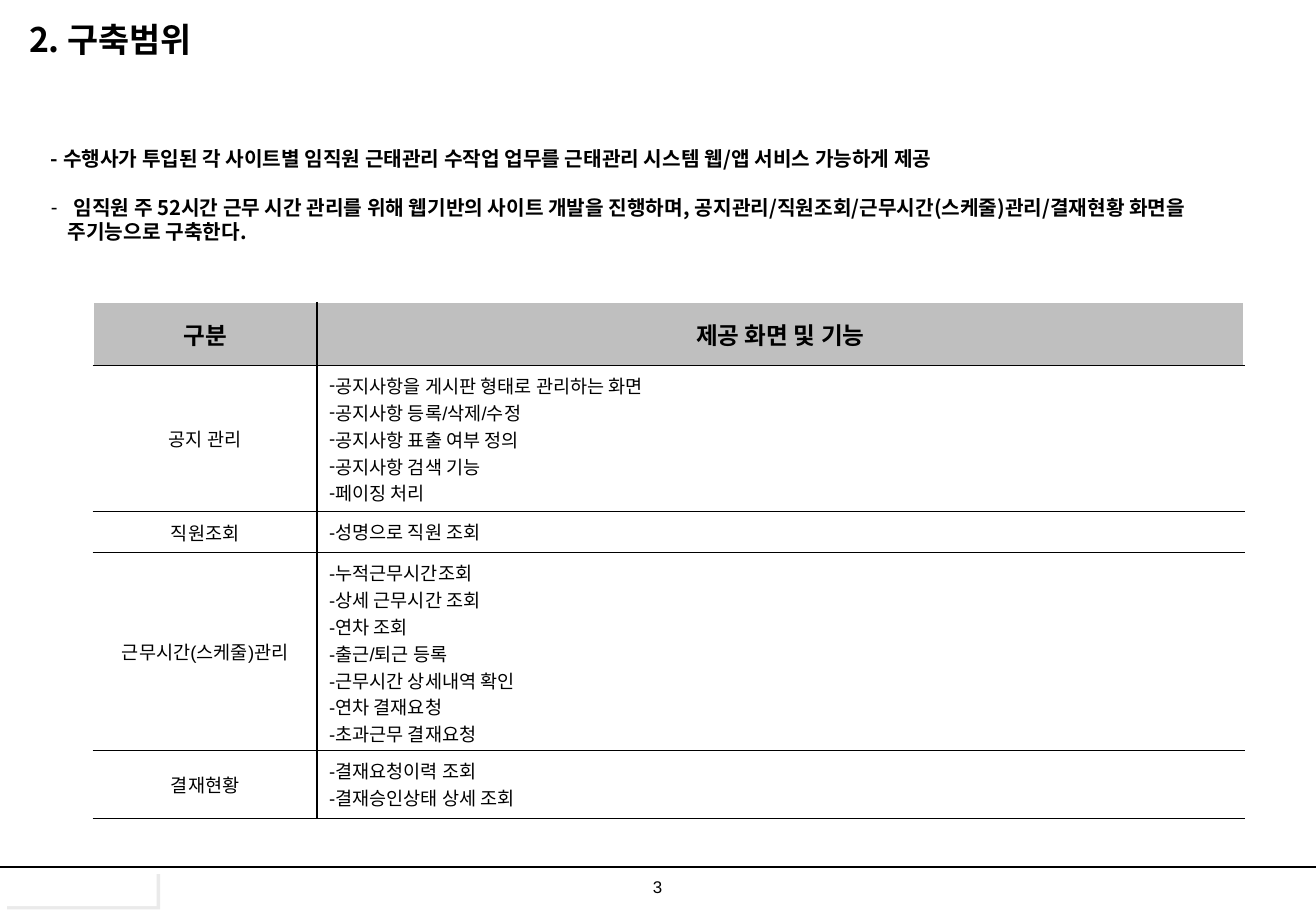
"""Build the slide on the scope of the attendance management system."""
from lxml import etree
from pptx import Presentation, util as u
from pptx.dml import color
from pptx.enum import shapes, text
from pptx.oxml import ns

COLORS = {"ink": "000000", "paper": "FFFFFF", "header": "BFBFBF", "shadow": "EAEAEA"}
KOREAN, LATIN = "Noto Sans CJK KR", "Arial"
LEFT, CENTER = text.PP_ALIGN.LEFT, text.PP_ALIGN.CENTER
TOP, MIDDLE = text.MSO_ANCHOR.TOP, text.MSO_ANCHOR.MIDDLE

TITLE = "2. 구축범위"
SUMMARY = [
    ("- 수행사가 투입된 각 사이트별 임직원 근태관리 수작업 업무를 근태관리 시스템 웹/앱 서비스 가능하게 제공",
     {}),
    ("임직원 주 52시간 근무 시간 관리를 위해 웹기반의 사이트 개발을 진행하며, 공지관리/직원조회/근무시간(스케줄)관리/결재현황 화면을",
     {"bullet": "-", "margin": 13.5, "indent": -13.5, "space_before": 14.3}),
    ("주기능으로 구축한다.", {"margin": 10}),
]
HEADER = ["구분", "제공 화면 및 기능"]
FEATURES = [
    ("공지 관리", "-", ["공지사항을 게시판 형태로 관리하는 화면", "공지사항 등록/삭제/수정",
                     "공지사항 표출 여부 정의", "공지사항 검색 기능", "페이징 처리"]),
    ("직원조회", None, ["-성명으로 직원 조회"]),
    ("근무시간(스케줄)관리", None, ["-누적근무시간조회", "-상세 근무시간 조회", "-연차 조회", "-출근/퇴근 등록",
                            "-근무시간 상세내역 확인", "-연차 결재요청", "-초과근무 결재요청"]),
    ("결재현황", None, ["-결재요청이력 조회", "-결재승인상태 상세 조회"]),
]
COLUMN_WIDTHS = [132.5, 549.4]
ROW_HEIGHTS = [37.4, 86.4, 24.5, 117.4, 40.3]


def rgb(name):
    """Return a named colour."""
    return color.RGBColor.from_string(COLORS[name])


def apply(target, values):
    """Set each attribute of the target from a dict."""
    for name, value in values.items():
        setattr(target, name, value)


def add_element(parent, tag, **attributes):
    """Append a drawing element with attributes."""
    return etree.SubElement(parent, ns.qn(tag), attributes)


def place(shape, left, top, width, height):
    """Move and size a shape in points."""
    apply(shape, {"left": u.Pt(left), "top": u.Pt(top),
                  "width": u.Pt(width), "height": u.Pt(height)})


def write(paragraph, content, size, bold=False, font=LATIN, align=LEFT, bullet=None,
          margin=0, indent=0, space_before=0, line_spacing=1.0):
    """Fill a paragraph with one formatted run."""
    apply(paragraph, {"alignment": align, "space_before": u.Pt(space_before),
                      "space_after": u.Pt(0), "line_spacing": line_spacing})
    properties = paragraph._p.get_or_add_pPr()
    properties.set("marL", str(u.Pt(margin)))
    properties.set("indent", str(u.Pt(indent)))
    if bullet:
        add_element(properties, "a:buFont", typeface=LATIN)
        add_element(properties, "a:buChar", char=bullet)
    else:
        add_element(properties, "a:buNone")
    run = paragraph.add_run()
    run.text = content
    apply(run.font, {"size": u.Pt(size), "bold": bold, "name": font})
    run.font.color.rgb = rgb("ink")
    add_element(run._r.get_or_add_rPr(), "a:ea", typeface=KOREAN)


def write_lines(frame, lines, **style):
    """Write one paragraph for each line and its own format values."""
    for index, (content, values) in enumerate(lines):
        paragraph = frame.add_paragraph() if index else frame.paragraphs[0]
        write(paragraph, content, **{**style, **values})


def fill_placeholder(shape, box, anchor, lines, **style):
    """Move a placeholder and fill it with text."""
    place(shape, *box)
    apply(shape.text_frame, {"word_wrap": True, "auto_size": text.MSO_AUTO_SIZE.NONE,
                             "vertical_anchor": anchor})
    write_lines(shape.text_frame, lines, bold=True, font=KOREAN, **style)


def add_footer(slide):
    """Draw the footer rule, the raised plate and the page number."""
    rule = slide.shapes.add_connector(shapes.MSO_CONNECTOR.STRAIGHT,
                                      u.Pt(0), u.Pt(514), u.Pt(780), u.Pt(514))
    rule.line.width = u.Pt(0.75)
    rule.line.color.rgb = rgb("ink")
    add_element(rule._element.spPr, "a:effectLst")

    plate = slide.shapes.add_shape(shapes.MSO_SHAPE.RECTANGLE,
                                   u.Pt(2.2), u.Pt(516.2), u.Pt(90.7), u.Pt(20.9))
    plate.fill.solid()
    plate.fill.fore_color.rgb = rgb("paper")
    plate.line.fill.background()
    plate.shadow.inherit = False
    effects = plate._element.spPr.find(ns.qn("a:effectLst"))
    shadow = add_element(effects, "a:outerShdw", blurRad="0", dist=str(u.Pt(2.8)),
                         dir="2700000", algn="ctr", rotWithShape="0")
    add_element(shadow, "a:srgbClr", val=COLORS["shadow"])

    number = slide.shapes.add_textbox(u.Pt(376.5), u.Pt(516.2), u.Pt(26.6), u.Pt(19.4))
    number.text_frame.word_wrap = True
    write(number.text_frame.paragraphs[0], "3", 10, align=CENTER)


def set_borders(cell, **sides):
    """Give a cell its four borders by colour name."""
    properties = cell._tc.get_or_add_tcPr()
    for index, side in enumerate("LRTB"):
        line = etree.Element(ns.qn(f"a:ln{side}"), w=str(u.Pt(1)))
        fill = add_element(line, "a:solidFill")
        add_element(fill, "a:srgbClr", val=COLORS[sides.get(side, "ink")])
        properties.insert(index, line)


def fill_cell(table, row, column, lines, **style):
    """Fill one table cell with text, colour and borders."""
    cell = table.cell(row, column)
    listing = row > 0 and column == 1
    apply(cell, {"vertical_anchor": TOP if listing else MIDDLE,
                 "margin_left": u.Pt(7.2), "margin_right": u.Pt(7.2),
                 "margin_top": u.Pt(3.6), "margin_bottom": u.Pt(0 if listing else 3.6)})
    cell.fill.solid()
    cell.fill.fore_color.rgb = rgb("paper" if row else "header")
    write_lines(cell.text_frame, [(line, {}) for line in lines],
                align=LEFT if listing else CENTER, **style)
    outer = {"R" if column else "L": "paper"}
    if row == 0:
        outer["T"] = "paper"
    set_borders(cell, **outer)


def add_feature_table(slide):
    """Add the table of screens and their functions."""
    table = slide.shapes.add_table(len(ROW_HEIGHTS), len(COLUMN_WIDTHS), u.Pt(55.4), u.Pt(179.3),
                                   u.Pt(sum(COLUMN_WIDTHS)), u.Pt(sum(ROW_HEIGHTS))).table
    apply(table, {"first_row": False, "horz_banding": False})
    for column, width in zip(table.columns, COLUMN_WIDTHS):
        column.width = u.Pt(width)
    for row, height in zip(table.rows, ROW_HEIGHTS):
        row.height = u.Pt(height)
    for column, heading in enumerate(HEADER):
        fill_cell(table, 0, column, [heading], size=14, bold=True)
    for row, (area, bullet, functions) in enumerate(FEATURES, 1):
        fill_cell(table, row, 0, [area], size=11)
        fill_cell(table, row, 1, functions, size=11, bullet=bullet)


def main():
    """Build and save the presentation."""
    presentation = Presentation()
    apply(presentation, {"slide_width": u.Pt(780), "slide_height": u.Pt(540)})
    slide = presentation.slides.add_slide(presentation.slide_layouts[1])
    add_footer(slide)
    fill_placeholder(slide.shapes.title, (10, 9.4, 365, 28), MIDDLE, [(TITLE, {})], size=20)
    fill_placeholder(slide.placeholders[1], (23, 83.5, 749, 65.5), TOP, SUMMARY,
                     size=12, line_spacing=u.Pt(14.3))
    add_feature_table(slide)
    presentation.save("out.pptx")


if __name__ == "__main__":
    main()
